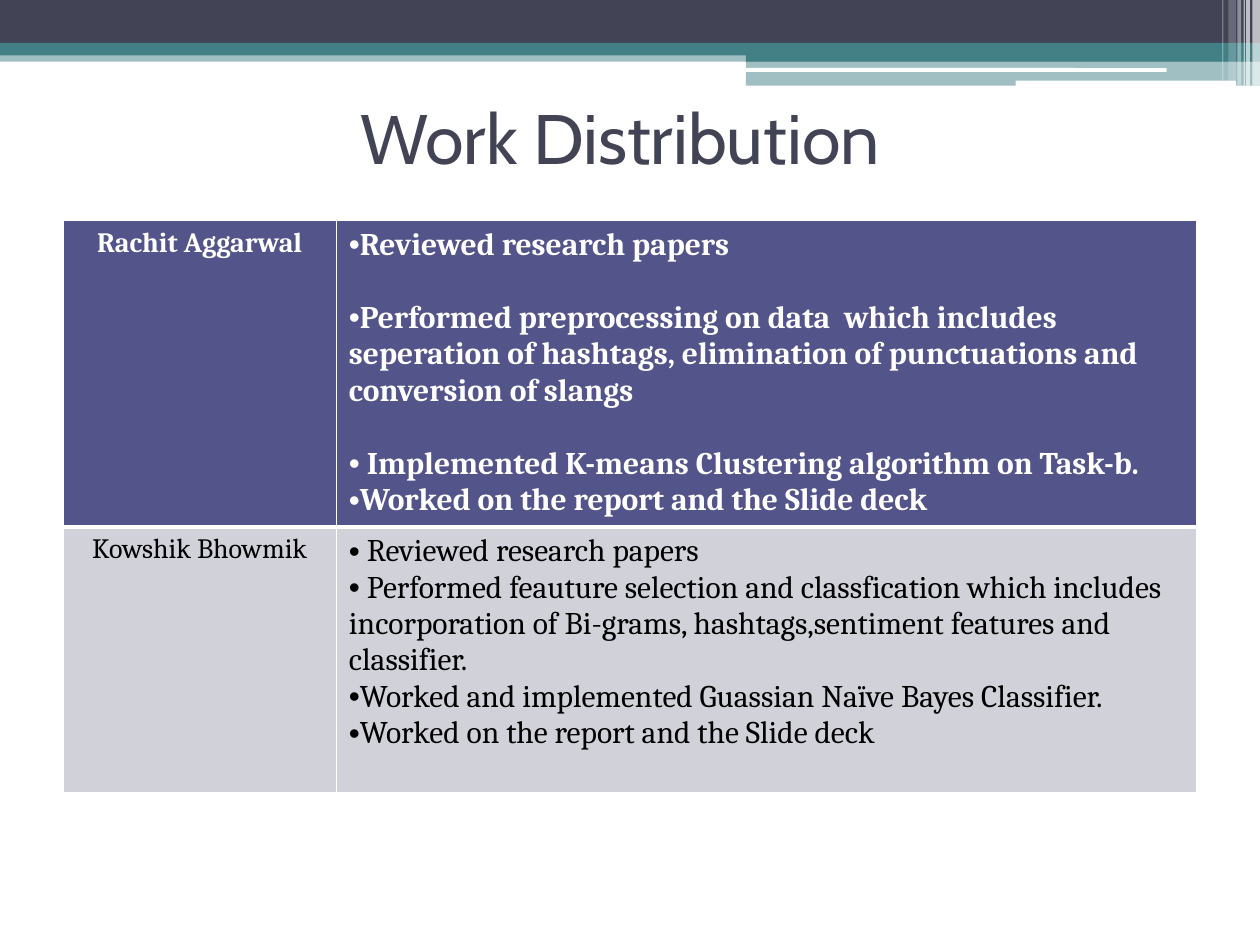
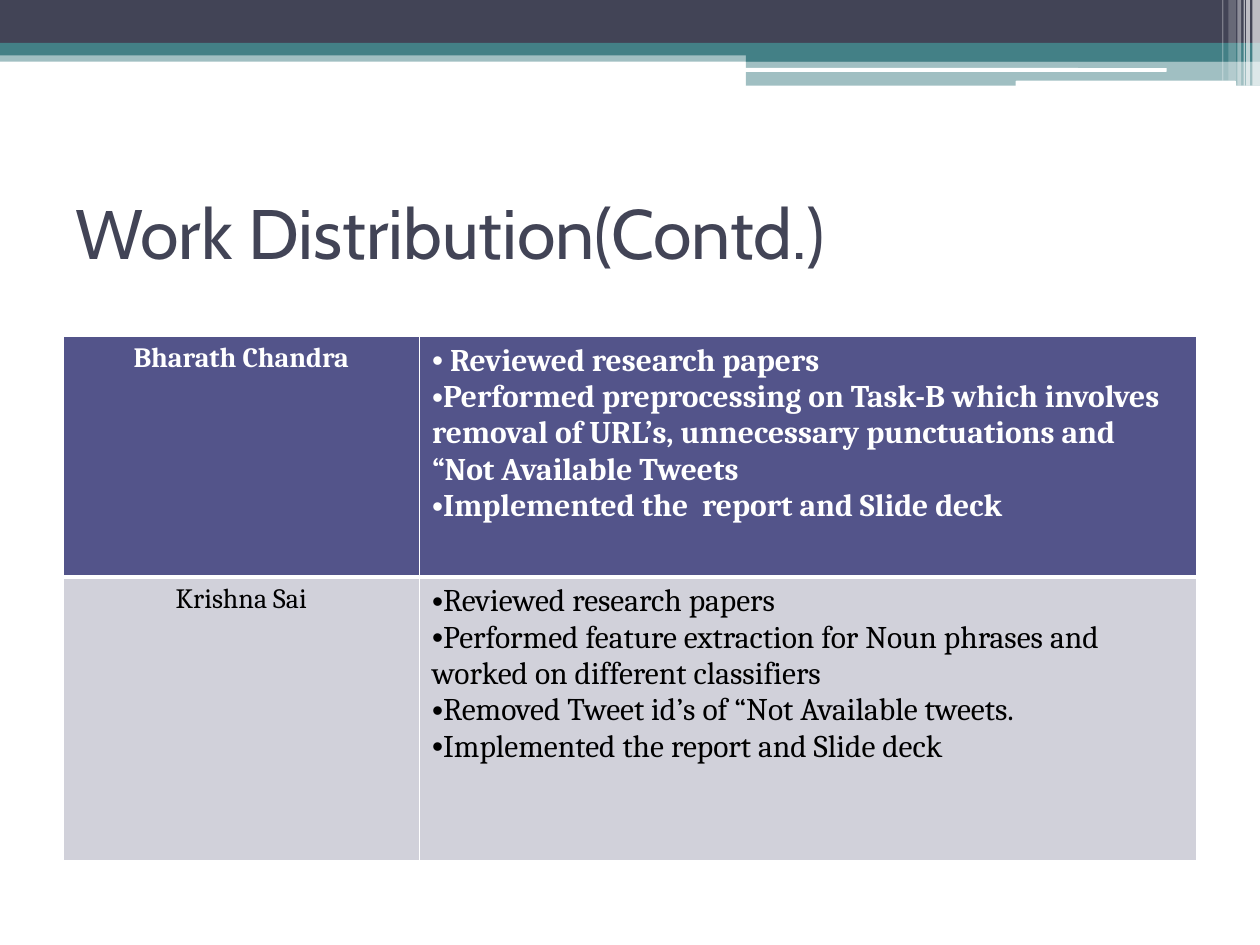
from dataclasses import dataclass

from lxml import etree
from pptx import Presentation
from pptx.dml.color import RGBColor
from pptx.enum import shapes, text
from pptx.oxml import ns
from pptx.util import Inches, Pt


@dataclass(frozen=True)
class Theme:
    slate: str = "424456"
    teal: str = "438086"
    white: str = "FFFFFF"
    black: str = "000000"
    indigo: str = "53548A"
    lilac: str = "D1D1DA"
    title_font: str = "Cabin"
    body_font: str = "Cambria"
    bullet_font: str = "Arial"
    title_size: int = 40
    name_size: int = 16
    task_size: int = 18
    task_gap: int = 21
    thin_line: int = 1
    thick_line: int = 3


THEME = Theme()

# left, top, width, height, colour, opacity in percent
BANDS = [
    (0, 0.4, 10, 0.09, THEME.teal, 50),
    (0, 0, 10, 0.34, THEME.slate, 100),
    (0, 0.34, 10, 0.1, THEME.teal, 100),
    (5.92, 0.39, 4.08, 0.1, THEME.teal, 100),
    (5.92, 0.48, 4.08, 0.2, THEME.teal, 50),
]
ROUNDED_LINES = [(5.91, 0.54, 3.35, 0.03), (8.06, 0.64, 1.75, 0.05)]
# left, width, height, opacity in percent
STRIPES = [
    (9.94, 0.06, 0.68, 65),
    (9.89, 0.03, 0.68, 65),
    (9.87, 0.01, 0.68, 60),
    (9.82, 0.03, 0.68, 40),
    (9.75, 0.06, 0.64, 20),
    (9.7, 0.01, 0.64, 30),
]


def add_child(parent, tag, **attributes):
    child = etree.SubElement(parent, ns.qn(tag))
    for name, value in attributes.items():
        child.set(name, str(value))
    return child


def add_band(page, left, top, width, height, colour, opacity=100,
             kind=shapes.MSO_SHAPE.RECTANGLE):
    band = page.shapes.add_shape(
        kind, Inches(left), Inches(top), Inches(width), Inches(height))
    band.shadow.inherit = False
    band.line.fill.background()
    band.fill.solid()
    band.fill.fore_color.rgb = RGBColor.from_string(colour)
    if opacity < 100:
        fill_colour = band.fill._xPr.find(".//" + ns.qn("a:srgbClr"))
        add_child(fill_colour, "a:alpha", val=opacity * 1000)


def add_header(page):
    for band in BANDS:
        add_band(page, *band)
    for line in ROUNDED_LINES:
        add_band(page, *line, THEME.white,
                 kind=shapes.MSO_SHAPE.ROUNDED_RECTANGLE)
    for left, width, height, opacity in STRIPES:
        add_band(page, left, 0, width, height, THEME.white, opacity)


def style_text(para, font, size, colour, bold=False):
    for span in para.runs:
        span.font.name = font
        span.font.size = Pt(size)
        span.font.bold = bold
        span.font.color.rgb = RGBColor.from_string(colour)


def add_title(page, title, left, top, align):
    box = page.shapes.add_textbox(
        Inches(left), Inches(top), Inches(9), Inches(1.17))
    frame = box.text_frame
    frame.word_wrap = True
    frame.vertical_anchor = text.MSO_ANCHOR.MIDDLE
    frame.text = title
    para = frame.paragraphs[0]
    para.alignment = align
    style_text(para, THEME.title_font, THEME.title_size, THEME.slate)


def paint_cell(cell, colour, top_line, bottom_line):
    cell.margin_bottom = 0
    cell.fill.solid()
    cell.fill.fore_color.rgb = RGBColor.from_string(colour)
    properties = cell._tc.get_or_add_tcPr()
    widths = {"L": THEME.thin_line, "R": THEME.thin_line,
              "T": top_line, "B": bottom_line}
    for index, (side, width) in enumerate(widths.items()):
        border = add_child(properties, "a:ln" + side, w=Pt(width))
        add_child(add_child(border, "a:solidFill"), "a:srgbClr",
                  val=THEME.white)
        properties.insert(index, border)


def write_tasks(cell, tasks, spaced, colour, bold):
    """Fill a cell with bullets; those whose index is in spaced get a gap above."""
    cell.text_frame.text = "\n".join(tasks)
    for index, para in enumerate(cell.text_frame.paragraphs):
        if index in spaced:
            para.space_before = Pt(THEME.task_gap)
        properties = para._p.get_or_add_pPr()
        add_child(properties, "a:buFont", typeface=THEME.bullet_font)
        add_child(properties, "a:buChar", char="•")
        style_text(para, THEME.body_font, THEME.task_size, colour, bold)


def add_work_table(page, top, widths, heights, members):
    """Each member is a name, a list of tasks and the indexes of spaced tasks."""
    table = page.shapes.add_table(
        len(members), 2, Inches(0.5), Inches(top),
        Inches(sum(widths)), Inches(sum(heights))).table
    table.first_row = table.horz_banding = False
    for column, width in zip(table.columns, widths):
        column.width = Inches(width)
    for index, (name, tasks, spaced) in enumerate(members):
        table.rows[index].height = Inches(heights[index])
        first = index == 0
        fill = THEME.indigo if first else THEME.lilac
        colour = THEME.white if first else THEME.black
        lines = (THEME.thin_line, THEME.thick_line)
        name_cell, task_cell = table.rows[index].cells
        for cell in (name_cell, task_cell):
            paint_cell(cell, fill, *(lines if first else reversed(lines)))
        name_cell.text_frame.text = name
        para = name_cell.text_frame.paragraphs[0]
        para.alignment = text.PP_ALIGN.CENTER
        style_text(para, THEME.body_font, THEME.name_size, colour, first)
        write_tasks(task_cell, tasks, spaced, colour, first)


def add_page(deck):
    page = deck.slides.add_slide(deck.slide_layouts[6])
    add_header(page)
    return page


def main():
    deck = Presentation()
    deck.slide_width, deck.slide_height = Inches(10), Inches(7.5)

    page = add_page(deck)
    add_title(page, "Work Distribution", 0.42, 0.5, text.PP_ALIGN.CENTER)
    add_work_table(page, 1.75, (2.17, 6.83), (2.4, 2.11), [
        ("Rachit Aggarwal", [
            "Reviewed research papers",
            "Performed preprocessing on data  which includes seperation of "
            "hashtags, elimination of punctuations and conversion of slangs",
            " Implemented K-means Clustering algorithm on Task-b.",
            "Worked on the report and the Slide deck",
        ], (1, 2)),
        ("Kowshik Bhowmik", [
            " Reviewed research papers",
            " Performed feauture selection and classfication which includes "
            "incorporation of Bi-grams, hashtags,sentiment features and "
            "classifier.",
            "Worked and implemented Guassian Naïve Bayes Classifier.",
            "Worked on the report and the Slide deck",
        ], ()),
    ])

    page = add_page(deck)
    add_title(page, "Work Distribution(Contd.)", 0.5, 1.25,
              text.PP_ALIGN.LEFT)
    add_work_table(page, 2.67, (2.83, 6.17), (1.91, 2.25), [
        ("Bharath Chandra", [
            " Reviewed research papers",
            "Performed preprocessing on Task-B which involves removal of "
            "URL’s, unnecessary punctuations and “Not Available Tweets",
            "Implemented the  report and Slide deck",
        ], ()),
        ("Krishna Sai", [
            "Reviewed research papers",
            "Performed feature extraction for Noun phrases and worked on "
            "different classifiers",
            "Removed Tweet id’s of “Not Available tweets.",
            "Implemented the report and Slide deck",
        ], ()),
    ])

    deck.save("out.pptx")


if __name__ == "__main__":
    main()
